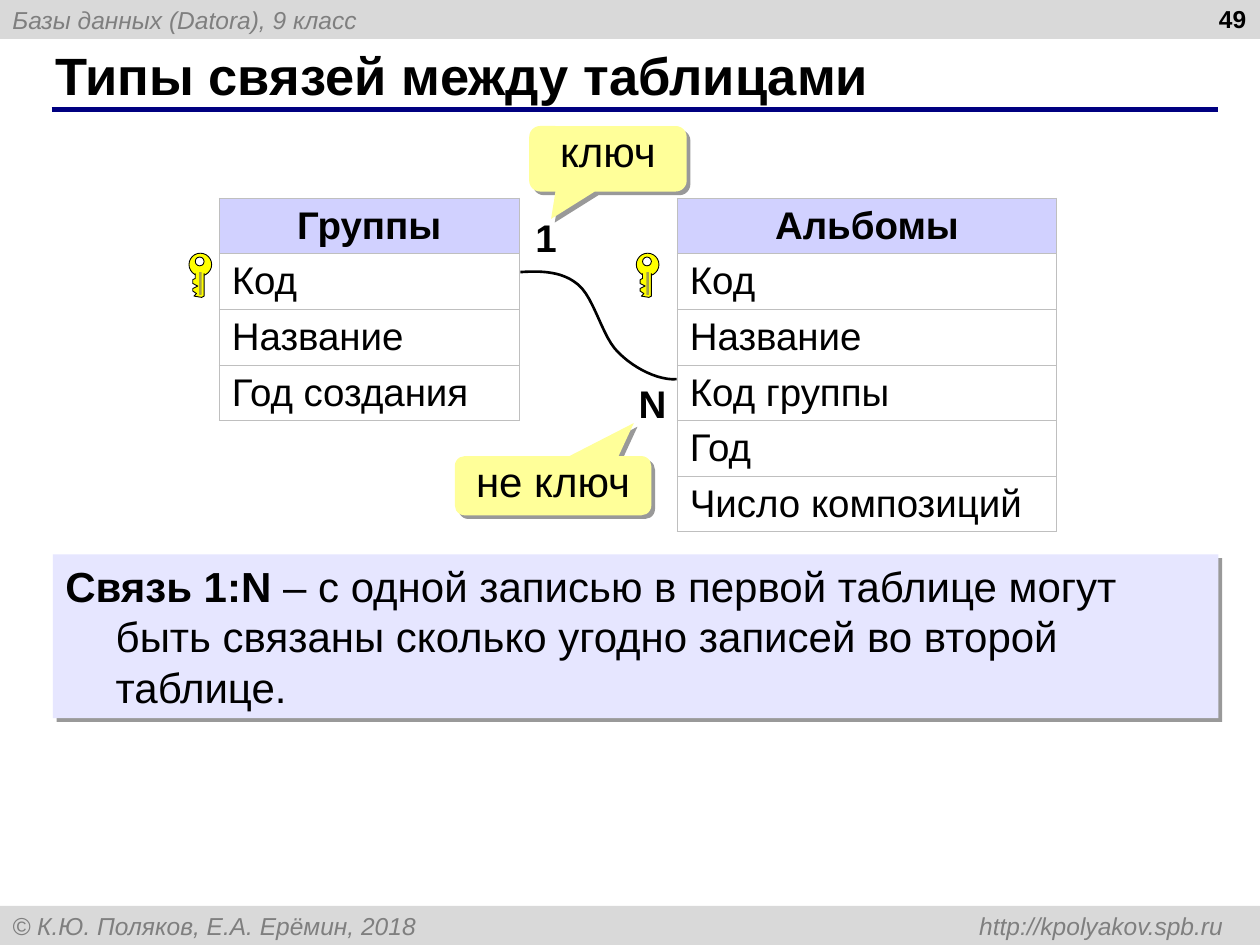
"""Build the slide on one-to-many links between database tables."""
import lxml.etree
import pptx
import pptx.dml.color
import pptx.enum.shapes
import pptx.enum.text
import pptx.oxml
import pptx.oxml.ns
import pptx.util

RGB = pptx.dml.color.RGBColor
BLACK, WHITE = RGB(0, 0, 0), RGB(255, 255, 255)
BAND, BAND_TEXT = RGB(0xD9, 0xD9, 0xD9), RGB(0x7F, 0x7F, 0x7F)
NAVY, HEADER, BORDER = RGB(0, 0, 0x80), RGB(0xD1, 0xD1, 0xFF), RGB(0xBF, 0xBF, 0xBF)
LAVENDER, CREAM = RGB(0xE6, 0xE6, 0xFF), RGB(0xFF, 0xFF, 0x99)
YELLOW, OLIVE = RGB(0xFF, 0xFF, 0), RGB(0xA5, 0xA1, 0x49)

SHAPE = pptx.enum.shapes.MSO_SHAPE
ALIGN = pptx.enum.text.PP_ALIGN
ANCHOR = pptx.enum.text.MSO_ANCHOR
FIT = pptx.enum.text.MSO_AUTO_SIZE
COLUMNS, ROWS = 100, 75
WIDTH, HEIGHT = pptx.util.Inches(10), pptx.util.Inches(7.5)

TITLE = ("Типы связей между таблицами", (3.4, 3.3, 91.6, 5.2))
PAGE_NUMBER = ("49", (76.6, -0.2, 23.3, 5.2))
BANDS = [("Базы данных (Datora), 9 класс", 0),
         ("© К.Ю. Поляков, Е.А. Ерёмин, 2018\thttp://kpolyakov.spb.ru", 71.9)]
TABLES = [(["Группы", "Код", "Название", "Год создания"], 17.4, 23.8),
          (["Альбомы", "Код", "Название", "Код группы", "Год", "Число композиций"],
           53.75, 30.1)]
TABLE_TOP, TABLE_ROW = 15.73, 4.06
LINK_ENDS = [("1", (41.5, 16.5, 3.7, 4.7)), ("N", (49.7, 29.7, 4.2, 4.7))]
LINK_CURVE = [((53.7, 30.1), (52.3, 30.2), (50.4, 29.3), (49.1, 28)),
              ((49.1, 28), (47.8, 26.8), (47.2, 23.7), (45.9, 22.6)),
              ((45.9, 22.6), (44.6, 21.5), (42.9, 21.5), (41.3, 21.6))]
CALLOUTS = [("ключ", (42, 10, 12.5, 5.2), (-0.361, 0.918, 0.167)),
            ("не ключ", (36.1, 36.2, 15.6, 4.7), (0.411, -1.058, 0.167))]
DEFINITION = [("Связь 1:N ", True),
              ("– с одной записью в первой таблице могут быть связаны сколько "
               "угодно записей во второй таблице.", False)]
KEY_LEFTS, KEY_TOP = [15, 50.5], 20.1
KEY_BLADE = [(1.2, 1.6), (1.2, 3.4), (1, 3.5), (0.4, 3.4), (0.6, 3.2), (0.3, 3),
             (0.3, 2.8), (0.7, 2.6), (0.3, 2.4), (0.3, 2.1), (0.5, 2), (0.5, 1.6)]


def point(column, row):
    return round(WIDTH * column / COLUMNS), round(HEIGHT * row / ROWS)


def place(left, top, width, height):
    return *point(left, top), *point(width, height)


def write(frame, text, size=14, color=BLACK, bold=False, italic=False,
          align=ALIGN.LEFT, anchor=ANCHOR.TOP, wrap=True, spacing=None,
          hanging=None, tab=None):
    frame.word_wrap = wrap
    frame.vertical_anchor = anchor
    paragraph = frame.paragraphs[0]
    paragraph.alignment = align
    if spacing:
        paragraph.line_spacing = spacing
    properties = paragraph._p.get_or_add_pPr()
    if hanging:
        properties.set("marL", str(hanging))
        properties.set("indent", str(-hanging))
    if tab:
        tabs = lxml.etree.SubElement(properties, pptx.oxml.ns.qn("a:tabLst"))
        lxml.etree.SubElement(tabs, pptx.oxml.ns.qn("a:tab"), pos=str(tab), algn="r")
    for words, heavy in [(text, bold)] if isinstance(text, str) else text:
        run = paragraph.add_run()
        run.text = words
        run.font.name = "Arial"
        run.font.size = pptx.util.Pt(size)
        run.font.bold = heavy
        run.font.italic = italic
        run.font.color.rgb = color


def paint(shape, fill=None, line=None, weight=0.5):
    shape.shadow.inherit = False
    if fill is None:
        shape.fill.background()
    else:
        shape.fill.solid()
        shape.fill.fore_color.rgb = fill
    if line is None:
        shape.line.fill.background()
    else:
        shape.line.color.rgb = line
        shape.line.width = pptx.util.Pt(weight)
    return shape


def cast_shadow(shape):
    effects = shape._element.spPr.find(pptx.oxml.ns.qn("a:effectLst"))
    effects.append(pptx.oxml.parse_xml(
        f'<a:outerShdw {pptx.oxml.ns.nsdecls("a")} blurRad="0" '
        f'dist="{pptx.util.Pt(3)}" dir="2700000" algn="tl" rotWithShape="0">'
        '<a:srgbClr val="000000"><a:alpha val="40000"/></a:srgbClr></a:outerShdw>'))


def outline(shapes, corners, close):
    builder = shapes.build_freeform(*point(*corners[0]))
    builder.add_line_segments([point(*corner) for corner in corners[1:]], close=close)
    return builder.convert_to_shape()


def bezier(ends, steps=12):
    for step in range(steps + 1):
        t = step / steps
        shares = ((1 - t) ** 3, 3 * t * (1 - t) ** 2, 3 * t * t * (1 - t), t ** 3)
        yield tuple(sum(s * end[axis] for s, end in zip(shares, ends)) for axis in (0, 1))


def draw_key(slide, left, top):
    shapes = slide.shapes.add_group_shape().shapes
    for inset, size, fill in [(0, 1.8, YELLOW), (0.5, 0.7, WHITE)]:
        ring = shapes.add_shape(SHAPE.OVAL, *place(left + inset, top + inset * 0.6, size, size))
        paint(ring, fill, BLACK)
    blade = outline(shapes, [(left + x, top + y) for x, y in KEY_BLADE], close=False)
    paint(blade, YELLOW, BLACK)
    groove = shapes.add_shape(SHAPE.ROUNDED_RECTANGLE, *place(left + 0.8, top + 1.5, 0.2, 1.8))
    paint(groove, OLIVE)


def draw_table(slide, names, left, width):
    frame = slide.shapes.add_table(
        len(names), 1, *place(left, TABLE_TOP, width, TABLE_ROW * len(names)))
    table = frame.table
    table.horz_banding = table.first_row = False
    for row, name in enumerate(names):
        cell, heading = table.cell(row, 0), row == 0
        cell.margin_bottom = pptx.util.Pt(1.75)
        write(cell.text_frame, name, size=22, bold=heading,
              align=ALIGN.CENTER if heading else ALIGN.LEFT)
        if heading:
            cell.fill.solid()
            cell.fill.fore_color.rgb = HEADER
        else:
            cell.fill.background()
        for position, side in enumerate("LRTB"):
            cell._tc.get_or_add_tcPr().insert(position, pptx.oxml.parse_xml(
                f'<a:ln{side} {pptx.oxml.ns.nsdecls("a")} w="{pptx.util.Pt(0.45)}">'
                f'<a:solidFill><a:srgbClr val="{BORDER}"/></a:solidFill></a:ln{side}>'))


def main():
    deck = pptx.Presentation()
    deck.slide_width, deck.slide_height = WIDTH, HEIGHT
    slide = deck.slides.add_slide(deck.slide_layouts[5])
    shapes = slide.shapes

    for text, top in BANDS:
        band = paint(shapes.add_shape(SHAPE.RECTANGLE, *place(0, top, COLUMNS, 3.1)), BAND)
        write(band.text_frame, text, color=BAND_TEXT, italic=True,
              anchor=ANCHOR.MIDDLE, tab=point(96.1, 0)[0])

    rule = shapes.add_connector(pptx.enum.shapes.MSO_CONNECTOR.STRAIGHT,
                                *point(4.1, 8.7), *point(96.7, 8.7))
    rule.line.color.rgb = NAVY
    rule.line.width = pptx.util.Pt(3)
    lxml.etree.SubElement(rule._element.spPr, pptx.oxml.ns.qn("a:effectLst"))

    heading, box = TITLE
    title = shapes.title
    title.left, title.top, title.width, title.height = place(*box)
    title.text_frame.auto_size = FIT.NONE
    write(title.text_frame, heading, size=30, bold=True, anchor=ANCHOR.MIDDLE)
    number, box = PAGE_NUMBER
    write(shapes.add_textbox(*place(*box)).text_frame, number, bold=True, align=ALIGN.RIGHT)

    for names, left, width in TABLES:
        draw_table(slide, names, left, width)
    for left in KEY_LEFTS:
        draw_key(slide, left, KEY_TOP)

    curve = [spot for ends in LINK_CURVE for spot in bezier(ends)]
    paint(outline(shapes, curve, close=False), line=BLACK, weight=1.5)
    for text, box in LINK_ENDS:
        write(shapes.add_textbox(*place(*box)).text_frame, text, size=22, bold=True, wrap=False)

    definition = shapes.add_shape(SHAPE.RECTANGLE, *place(4.2, 44, 92.5, 13))
    cast_shadow(paint(definition, LAVENDER))
    write(definition.text_frame, DEFINITION, size=24, hanging=point(4, 0)[0])

    for text, box, tail in CALLOUTS:
        callout = shapes.add_shape(SHAPE.ROUNDED_RECTANGULAR_CALLOUT, *place(*box))
        for index, value in enumerate(tail):
            callout.adjustments[index] = value
        cast_shadow(paint(callout, CREAM))
        write(callout.text_frame, text, size=24, align=ALIGN.CENTER, spacing=0.8)

    deck.save("out.pptx")


if __name__ == "__main__":
    main()
